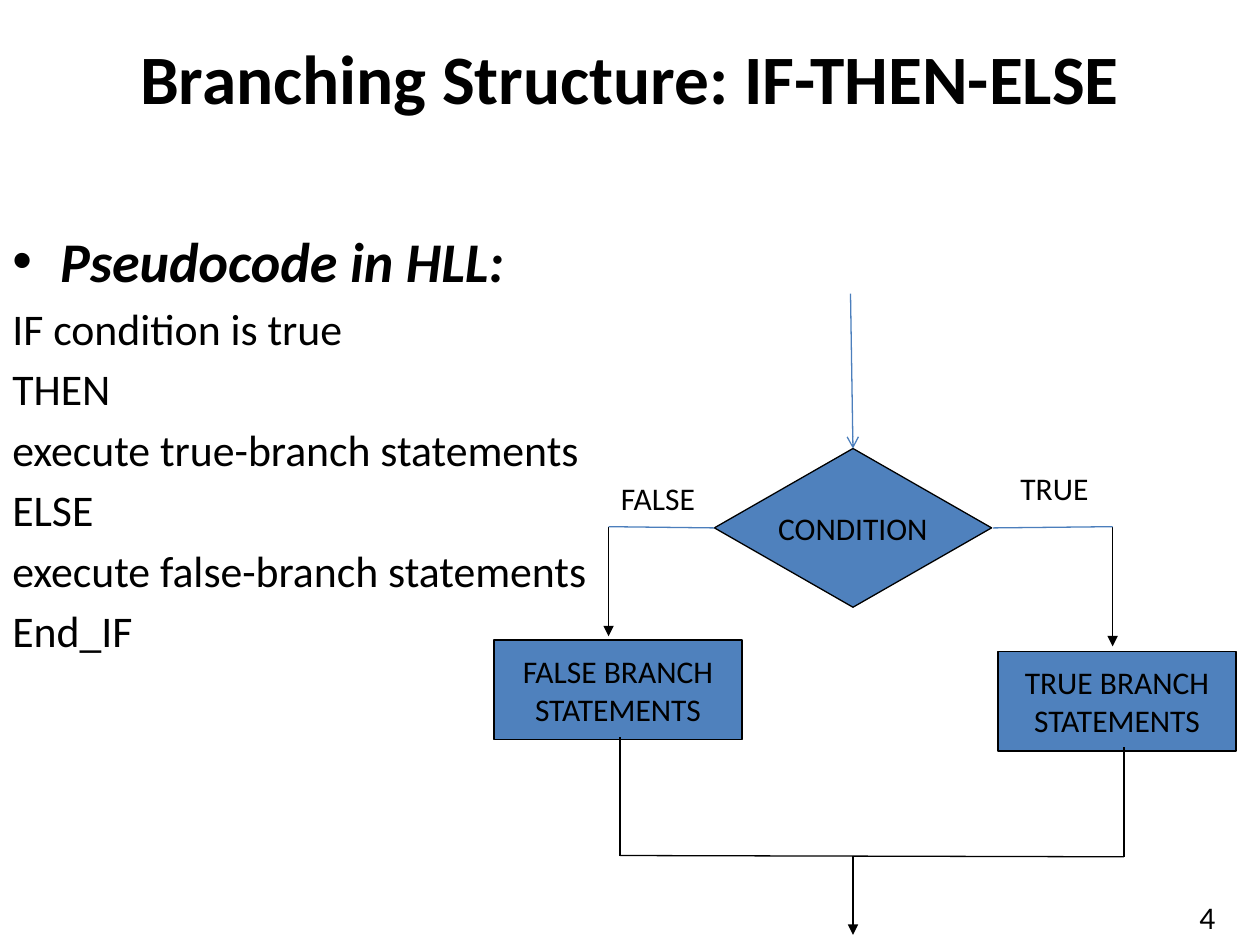
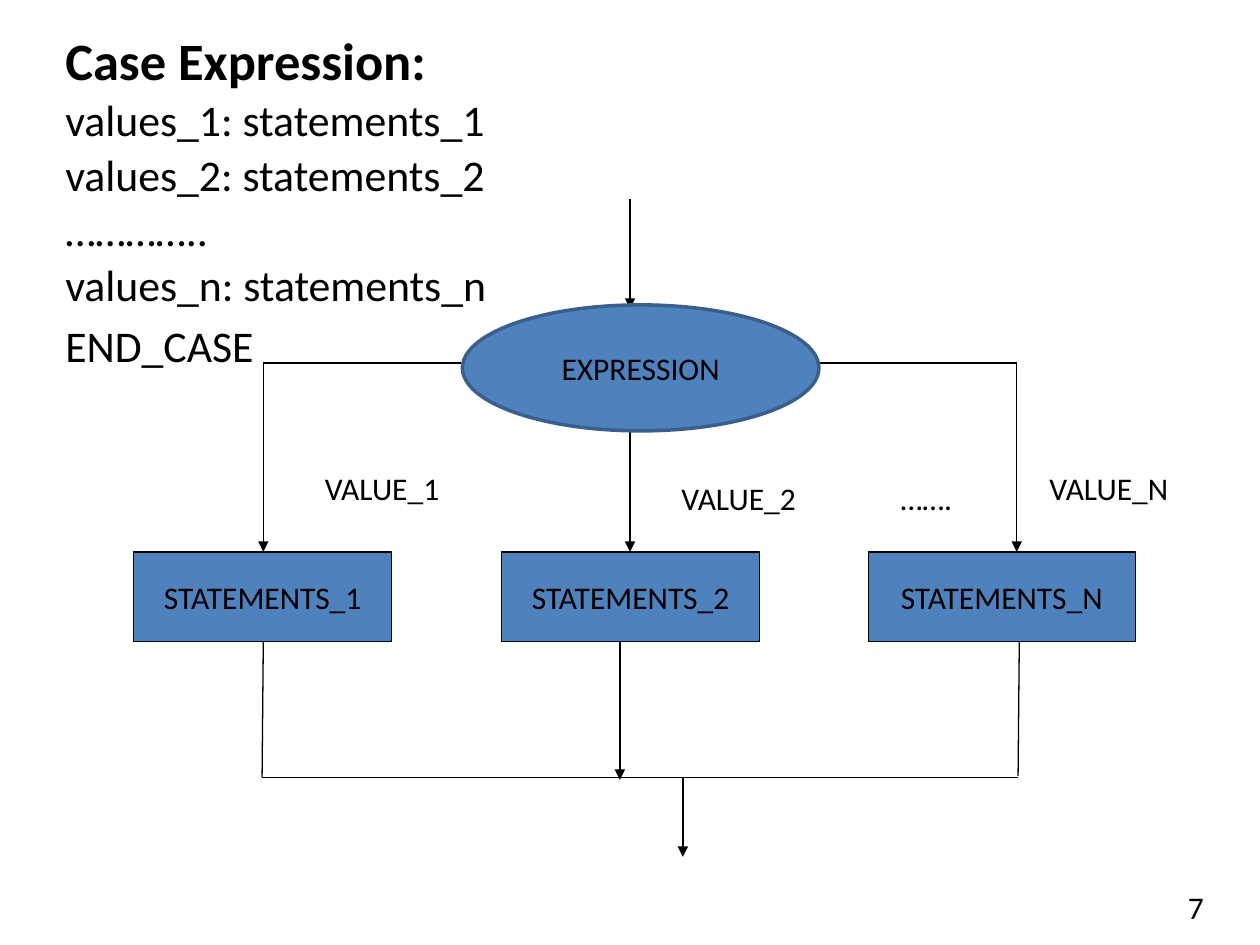
from typing import NamedTuple

from lxml.etree import SubElement
from pptx import Presentation
from pptx.dml.color import RGBColor
from pptx.enum.shapes import MSO_CONNECTOR as Link, MSO_SHAPE as Kind
from pptx.enum.text import MSO_ANCHOR as Anchor, PP_ALIGN as Align
from pptx.oxml.ns import qn
from pptx.util import Pt

PX = 9144  # 100 px to the inch
FONT = "Calibri"
BLACK, BLUE, EDGE, WIRE = "000000", "4F81BD", "3A5F8C", "4B7EBC"
HANG = 38


class Node(NamedTuple):
    text: str
    x: int
    y: int
    w: int
    h: int
    kind: int = Kind.RECTANGLE
    edge: str = BLACK
    width: float = 0.75


class Wire(NamedTuple):
    x1: int
    y1: int
    x2: int
    y2: int
    head: str = ""
    color: str = BLACK


class Label(NamedTuple):
    text: str
    x: int
    y: int
    w: int
    wrap: bool = False


class Row(NamedTuple):
    text: str
    size: int = 25
    bold: bool = False
    slant: bool = False
    dot: bool = False
    pitch: float = 1.0


def paint(code: str) -> RGBColor:
    return RGBColor.from_string(code)


def write(para, text: str, *, size=18.0, bold=False, slant=False,
          color=BLACK, align=Align.LEFT):
    para.alignment = align
    run = para.add_run()
    run.text = text
    font = run.font
    font.name, font.size = FONT, Pt(size)
    font.bold, font.italic = bold, slant
    font.color.rgb = paint(color)


def add_box(slide, x: int, y: int, w: int, h: int, wrap=True):
    frame = slide.shapes.add_textbox(x * PX, y * PX, w * PX, h * PX).text_frame
    frame.word_wrap = wrap
    return frame


def add_label(slide, item: Label):
    frame = add_box(slide, item.x, item.y, item.w, 40, item.wrap)
    write(frame.paragraphs[0], item.text)


def add_node(slide, node: Node):
    shape = slide.shapes.add_shape(
        node.kind, node.x * PX, node.y * PX, node.w * PX, node.h * PX)
    shape.shadow.inherit = False
    shape.fill.solid()
    shape.fill.fore_color.rgb = paint(BLUE)
    shape.line.color.rgb = paint(node.edge)
    shape.line.width = Pt(node.width)
    frame = shape.text_frame
    frame.word_wrap = False
    frame.vertical_anchor = Anchor.MIDDLE
    for i, text in enumerate(node.text.split("\n")):
        para = frame.add_paragraph() if i else frame.paragraphs[0]
        write(para, text, align=Align.CENTER)


def add_wire(slide, wire: Wire):
    line = slide.shapes.add_connector(
        Link.STRAIGHT, *(v * PX for v in wire[:4]))
    line.line.color.rgb = paint(wire.color)
    line.line.width = Pt(0.75)
    if wire.head:
        SubElement(line.line._get_or_add_ln(), qn("a:tailEnd"), type=wire.head)
    SubElement(line._element.spPr, qn("a:effectLst"))


def add_code(slide, x: int, y: int, w: int, h: int, rows: list[Row]):
    frame = add_box(slide, x, y, w, h)
    for i, row in enumerate(rows):
        para = frame.add_paragraph() if i else frame.paragraphs[0]
        para.line_spacing = row.pitch
        para.space_before = Pt(4.5 if i else 0)
        write(para, row.text, size=row.size, bold=row.bold, slant=row.slant)
        props = para._p.get_or_add_pPr()
        props.set("marL", str(HANG * PX))
        props.set("indent", str(-HANG * PX))
        if row.dot:
            SubElement(props, qn("a:buFont"), typeface="Arial")
            SubElement(props, qn("a:buChar"), char="•")
        else:
            SubElement(props, qn("a:buNone"))


def draw(slide, add, items):
    for item in items:
        add(slide, item)


def add_branch(slide):
    # Title and pseudocode
    frame = add_box(slide, 50, 26, 900, 70)
    frame.vertical_anchor = Anchor.MIDDLE
    write(frame.paragraphs[0], "Branching Structure: IF-THEN-ELSE",
          size=39.6, bold=True, align=Align.CENTER)
    steps = ["IF condition is true", "THEN", "execute true-branch statements",
             "ELSE", "execute false-branch statements", "End_IF"]
    head = Row("Pseudocode in HLL:", 32, bold=True, slant=True, dot=True)
    add_code(slide, 0, 175, 483, 495, [head, *map(Row, steps)])

    # Flow chart
    draw(slide, add_node, [
        Node("CONDITION", 567, 356, 220, 126, Kind.FLOWCHART_DECISION),
        Node("TRUE BRANCH\nSTATEMENTS", 792, 517, 189, 79,
             Kind.FLOWCHART_PROCESS),
        Node("FALSE BRANCH\nSTATEMENTS", 392, 508, 197, 79,
             Kind.FLOWCHART_PROCESS),
    ])
    draw(slide, add_wire, [
        Wire(483, 418, 483, 505, "triangle"),
        Wire(883, 418, 883, 513, "triangle"),
        Wire(492, 585, 492, 679),
        Wire(892, 593, 892, 680),
        Wire(677, 679, 677, 742, "triangle"),
        Wire(483, 418, 567, 419, color=WIRE),
        Wire(788, 419, 883, 418, color=WIRE),
        Wire(492, 679, 892, 680),
        Wire(675, 233, 677, 356, "arrow", WIRE),
    ])
    draw(slide, add_label, [
        Label("TRUE", 800, 367, 75),
        Label("FALSE", 483, 375, 79),
        Label("4", 942, 708, 33),
    ])


def add_case(slide):
    # Pseudocode
    cases = ["values_1: statements_1", "values_2: statements_2",
             "…………..", "values_n: statements_n"]
    add_code(slide, 42, 17, 358, 300, [
        Row("Case Expression:", 30, bold=True),
        *(Row(text, pitch=0.9) for text in cases),
        Row("END_CASE"),
    ])

    # Flow chart
    left, mid, right = 209, 500, 807
    top, base, join = 288, 438, 617
    draw(slide, add_wire, [
        Wire(mid, 158, mid, 245, "triangle"),
        Wire(366, top, left, top),
        Wire(634, top, right, top),
        *(Wire(x, y, x, base, "triangle")
          for x, y in ((left, top), (mid, 328), (right, top))),
        Wire(208, join, 808, join),
        Wire(542, join, 542, 680, "triangle"),
        Wire(492, 508, 492, 619, "triangle"),
        Wire(left, 509, 208, join),
        Wire(809, 508, 808, 616),
    ])
    draw(slide, add_node, [
        *(Node(f"STATEMENTS_{key}", x, base, w, 71)
          for key, x, w in (("1", 106, 205), ("2", 398, 205), ("N", 689, 212))),
        Node("EXPRESSION", 367, 242, 283, 100, Kind.OVAL, EDGE, 2),
    ])
    draw(slide, add_label, [
        Label("VALUE_1", 248, 367, 134, True),
        Label("VALUE_2", 531, 375, 134, True),
        Label("VALUE_N", 823, 367, 142, True),
        Label("…….", 705, 375, 79, True),
        Label("7", 933, 700, 33),
    ])


def main():
    deck = Presentation()
    deck.slide_width, deck.slide_height = 1000 * PX, 750 * PX
    for fill in (add_branch, add_case):
        fill(deck.slides.add_slide(deck.slide_layouts[6]))
    deck.save("out.pptx")


if __name__ == "__main__":
    main()
